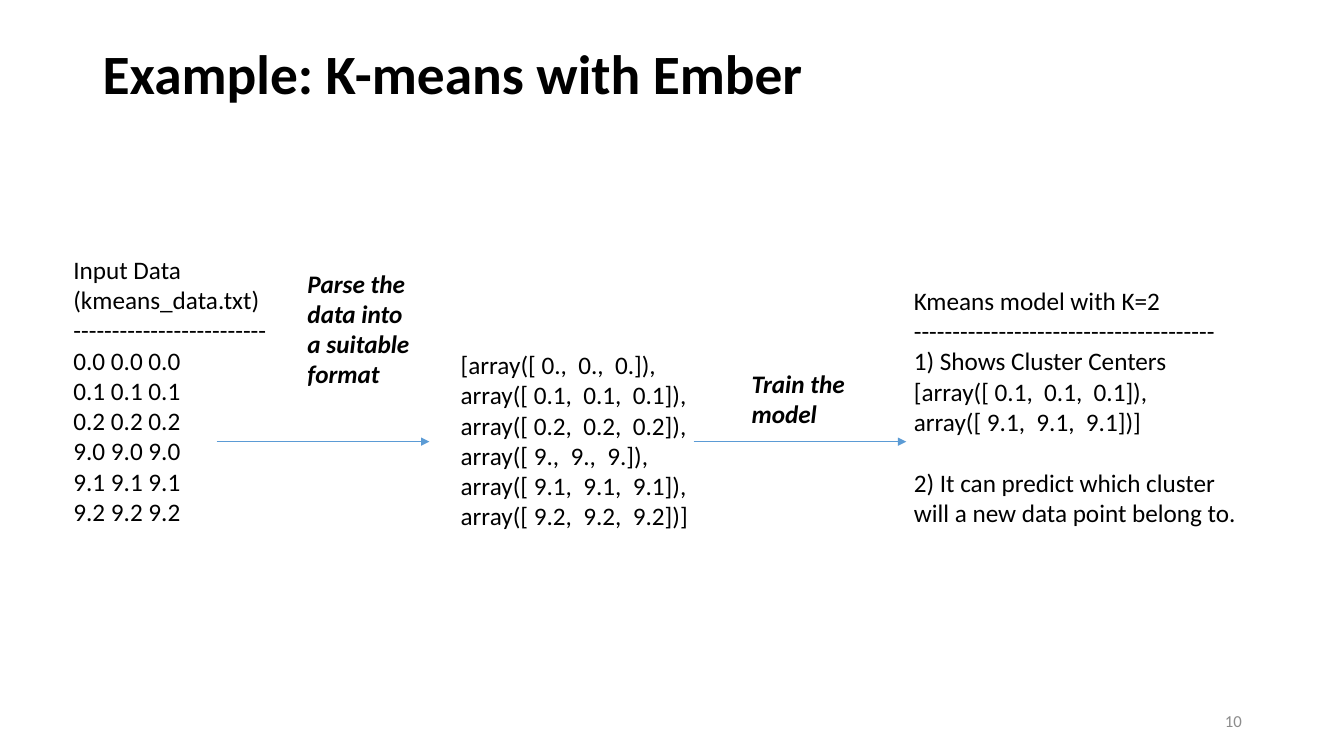
from dataclasses import dataclass

import lxml.etree
import pptx
import pptx.dml.color
import pptx.enum.shapes
import pptx.enum.text
import pptx.oxml.ns
import pptx.util

Cm = pptx.util.Cm
Pt = pptx.util.Pt
Align = pptx.enum.text.PP_ALIGN
Anchor = pptx.enum.text.MSO_ANCHOR


@dataclass(frozen=True)
class Theme:
    font: str = "Calibri"
    ink: str = "000000"
    muted: str = "8C8C8C"
    arrow: str = "5B9BD5"
    title_size: float = 39.6
    body_size: float = 18
    number_size: float = 12
    arrow_width: float = 0.5
    block_gap: float = 22


@dataclass(frozen=True)
class Box:
    left: float
    top: float
    width: float
    height: float


THEME = Theme()
LABEL_WIDTH = 3.12

INPUT_LINES = [
    "Input Data",
    "(kmeans_data.txt)",
    "-" * 25,
    *[" ".join([value] * 3) for value in ("0.0", "0.1", "0.2", "9.0", "9.1", "9.2")],
]
PARSED_LINES = [
    "[array([ 0.,  0.,  0.]), array([ 0.1,  0.1,  0.1]), "
    "array([ 0.2,  0.2,  0.2]), array([ 9.,  9.,  9.]), "
    "array([ 9.1,  9.1,  9.1]), array([ 9.2,  9.2,  9.2])]"
]
MODEL_LINES = [
    "Kmeans model with K=2",
    "-" * 39,
    "1) Shows Cluster Centers",
    "[array([ 0.1,  0.1,  0.1]),",
    "array([ 9.1,  9.1,  9.1])]",
]
PREDICTION = "2) It can predict which cluster will a new data point belong to."


def add_text(slide, box, lines, size=THEME.body_size, color=THEME.ink,
             bold=False, italic=False, align=Align.LEFT, anchor=Anchor.TOP):
    shape = slide.shapes.add_textbox(
        Cm(box.left), Cm(box.top), Cm(box.width), Cm(box.height))
    frame = shape.text_frame
    frame.word_wrap = True
    frame.vertical_anchor = anchor
    for index, line in enumerate(lines):
        paragraph = frame.add_paragraph() if index else frame.paragraphs[0]
        paragraph.alignment = align
        run = paragraph.add_run()
        run.text = line
        run.font.name = THEME.font
        run.font.size = Pt(size)
        run.font.bold = bold
        run.font.italic = italic
        run.font.color.rgb = pptx.dml.color.RGBColor.from_string(color)
    return frame


def add_arrow(slide, left, right, level):
    connector = slide.shapes.add_connector(
        pptx.enum.shapes.MSO_CONNECTOR.STRAIGHT,
        Cm(left), Cm(level), Cm(right), Cm(level))
    connector.line.color.rgb = pptx.dml.color.RGBColor.from_string(THEME.arrow)
    connector.line.width = Pt(THEME.arrow_width)
    qn = pptx.oxml.ns.qn
    properties = connector._element.spPr
    line = properties.find(qn("a:ln"))
    lxml.etree.SubElement(line, qn("a:tailEnd"), type="triangle")
    lxml.etree.SubElement(properties, qn("a:effectLst"))


def add_title(slide, box):
    frame = add_text(slide, box, ["Example: K-means with Ember"],
                     size=THEME.title_size, bold=True, anchor=Anchor.MIDDLE)
    frame.paragraphs[0].line_spacing = 0.9


def add_transition(slide, box, label, label_inset):
    label_box = Box(box.left + label_inset, box.top, LABEL_WIDTH, box.height)
    add_text(slide, label_box, [label], bold=True, italic=True)
    add_arrow(slide, box.left, box.left + box.width, box.top + box.height)


def add_model(slide, box):
    frame = add_text(slide, box, [*MODEL_LINES, PREDICTION])
    frame.paragraphs[-1].space_before = Pt(THEME.block_gap)


def add_page_number(slide, box):
    add_text(slide, box, ["10"], size=THEME.number_size, color=THEME.muted,
             align=Align.RIGHT, anchor=Anchor.MIDDLE)


def main():
    presentation = pptx.Presentation()
    presentation.slide_width = Cm(33.87)
    presentation.slide_height = Cm(19.05)
    slide = presentation.slides.add_slide(presentation.slide_layouts[6])

    add_title(slide, Box(2.34, 1.02, 29.21, 1.83))
    add_text(slide, Box(1.6, 6.28, 5.72, 7.19), INPUT_LINES)
    add_transition(slide, Box(5.46, 6.63, 5.36, 4.5),
                   "Parse the data into a suitable format", 2.04)
    add_text(slide, Box(11.36, 8.68, 6.78, 4.88), PARSED_LINES)
    add_transition(slide, Box(17.48, 9.16, 5.36, 1.97), "Train the model", 1.21)
    add_model(slide, Box(22.78, 7.06, 8.76, 6.4))
    add_page_number(slide, Box(23.93, 17.65, 7.62, 1.02))

    presentation.save("out.pptx")


if __name__ == "__main__":
    main()
